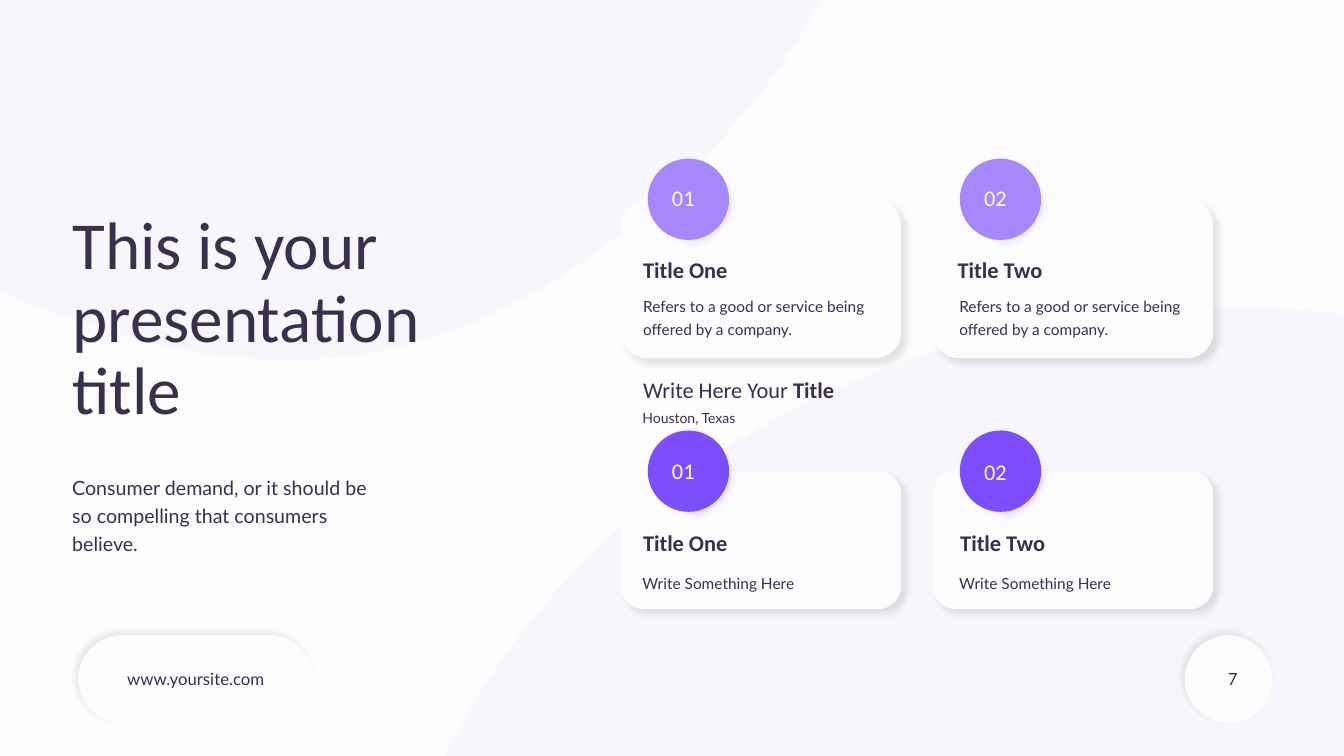
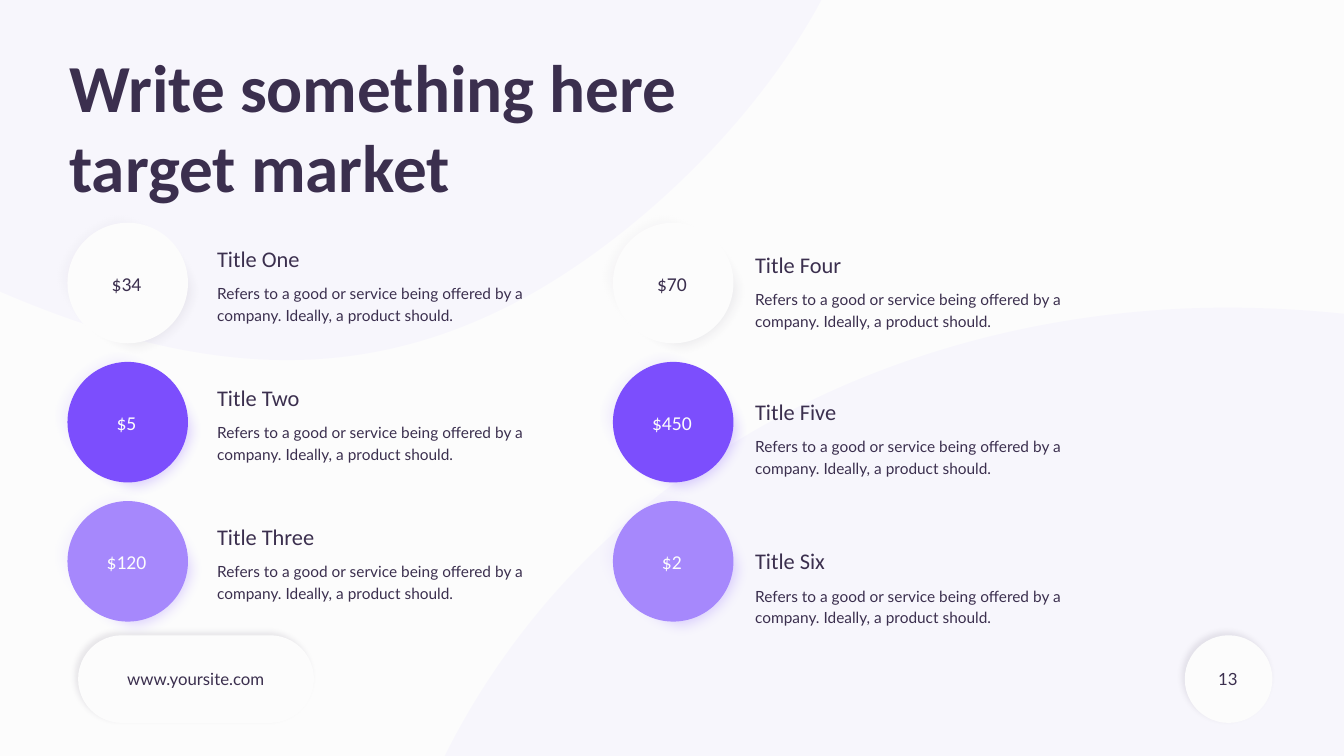
from lxml.etree import SubElement
from pptx import Presentation
from pptx.dml.color import RGBColor
from pptx.enum.shapes import MSO_SHAPE
from pptx.enum.text import MSO_ANCHOR, PP_ALIGN
from pptx.oxml.ns import qn
from pptx.util import Pt

PAPER = RGBColor(0xFC, 0xFC, 0xFC)
INK = RGBColor(0x3B, 0x2F, 0x4E)
BLACK = RGBColor(0, 0, 0)
VIOLET = RGBColor(0x7C, 0x4E, 0xFD)
LILAC = RGBColor(0xA6, 0x88, 0xFC)
HEADING, BODY = "Calibri", "Lato"
TIGHT, NARROW = (0, 0), (6.5, 3)

# Background blobs: area, start point, then Bezier segments, in points
BLOBS = [
    ((-495, -356.4, 1115.3, 613.4), (613.8, -159.8), [
        ((652.7, -43.2), (516.6, 132.5), (379.1, 210.2)),
        ((240.9, 287.3), (101.9, 267.8), (-88.9, 164.9)),
        ((-280.4, 63.4), (-523, -122.4), (-491.4, -230.4)),
        ((-461.1, -338.4), (-155.1, -367.2), (104.1, -352.8)),
        ((363.3, -337), (575.7, -277.2), (613.8, -159.8))]),
    ((253.1, 219.6, 1183, 1059.1), (1426, 501.8), [
        ((1481.4, 680.4), (1316.6, 921.6), (1091.2, 1087.2)),
        ((865.8, 1252.8), (580.7, 1340.6), (415.8, 1229)),
        ((252.4, 1117.4), (210.6, 806.4), (297.8, 584.6)),
        ((384.9, 362.9), (602.3, 230.4), (848.6, 220.3)),
        ((1094.8, 211), (1371.3, 324.7), (1426, 501.8))]),
]


def style_shape(shape, color, alpha=100, soft_edge=0, shadow=None):
    """Flat fill without line; shadow is (color, alpha, blur, distance, angle)."""
    shape.shadow.inherit = False
    shape.fill.solid()
    shape.fill.fore_color.rgb = color
    shape.line.fill.background()
    properties = shape._element.spPr
    if alpha < 100:
        fill_color = properties.find(qn("a:solidFill"))[0]
        SubElement(fill_color, qn("a:alpha"), val=str(alpha * 1000))
    effects = properties.find(qn("a:effectLst"))
    if shadow:
        tint, opacity, blur, distance, angle = shadow
        outer = SubElement(effects, qn("a:outerShdw"), blurRad=str(Pt(blur)), dist=str(Pt(distance)),
                           dir=str(angle * 60000), algn="ctr", rotWithShape="0")
        tint_node = SubElement(outer, qn("a:srgbClr"), val=str(tint))
        SubElement(tint_node, qn("a:alpha"), val=str(opacity * 1000))
    if soft_edge:
        SubElement(effects, qn("a:softEdge"), rad=str(Pt(soft_edge)))


def add_text(page, area, text, size, font=HEADING, color=INK, bold=False, align=PP_ALIGN.LEFT,
             inset=(7.2, 3.6), spacing=None, wrap=True, anchor=MSO_ANCHOR.TOP):
    box = page.shapes.add_textbox(*[Pt(value) for value in area])
    frame = box.text_frame
    frame.word_wrap = wrap
    frame.vertical_anchor = anchor
    frame.margin_left = frame.margin_right = Pt(inset[0])
    frame.margin_top = frame.margin_bottom = Pt(inset[1])
    frame.text = text
    for para in frame.paragraphs:
        para.alignment = align
        if spacing:
            para.line_spacing = spacing
        for span in para.runs:
            span.font.name, span.font.size = font, Pt(size)
            span.font.color.rgb, span.font.bold = color, bold
    return frame


deck = Presentation()
deck.slide_width, deck.slide_height = Pt(960), Pt(540)

# Shared background, page number and site label
pages = []
for number in (7, 13):
    page = deck.slides.add_slide(deck.slide_layouts[6])
    pages.append(page)
    page.background.fill.solid()
    page.background.fill.fore_color.rgb = PAPER
    for (left, top, width, height), start, segments in BLOBS:
        builder = page.shapes.build_freeform(Pt(start[0]), Pt(start[1]))
        builder.add_line_segments([(Pt(x), Pt(y)) for *handles, (x, y) in segments])
        blob = builder.convert_to_shape()
        blob.left, blob.top, blob.width, blob.height = Pt(left), Pt(top), Pt(width), Pt(height)
        # Turn the straight segments into curves
        outline = next(blob._element.iter(qn("a:path")))
        outline.set("w", str(Pt(width)))
        outline.set("h", str(Pt(height)))
        for command in list(outline):
            outline.remove(command)
        commands = [("a:moveTo", [start])] + [("a:cubicBezTo", segment) for segment in segments]
        for tag, points in commands:
            command = SubElement(outline, qn(tag))
            for x, y in points:
                SubElement(command, qn("a:pt"), x=str(Pt(x - left)), y=str(Pt(y - top)))
        SubElement(outline, qn("a:close"))
        style_shape(blob, VIOLET, alpha=3)
    for kind, left, width in ((MSO_SHAPE.OVAL, 846.3, 62.6), (MSO_SHAPE.ROUNDED_RECTANGLE, 55.8, 168.5)):
        badge = page.shapes.add_shape(kind, Pt(left), Pt(453.8), Pt(width), Pt(62.6))
        if kind == MSO_SHAPE.ROUNDED_RECTANGLE:
            badge.adjustments[0] = 0.5
        style_shape(badge, PAPER, shadow=(INK, 10, 4, 3, 225))
    add_text(page, (675.1, 470.5, 216, 28.8), str(number), 12, BODY, align=PP_ALIGN.RIGHT,
             anchor=MSO_ANCHOR.MIDDLE)
    add_text(page, (82.6, 473.8, 114.5, 21.6), "www.yoursite.com", 12, BODY, align=PP_ALIGN.CENTER, wrap=False)
cards_page, prices_page = pages

# Slide 1: title and introduction
add_text(cards_page, (51.8, 151.2, 328.3, 149.8), "This is your presentation\ntitle", 48, inset=TIGHT, spacing=0.9)
add_text(cards_page, (51.6, 336.5, 311.8, 59), "Consumer demand, or it should be\vso compelling that consumers\vbelieve.",
         14, BODY, inset=TIGHT, spacing=1.2)

# Slide 1: two rows of numbered cards
OFFER = "Refers to a good or service being offered by a company."
PROMPT = "Write Something Here"
cards = [  # left, top, height, color, number, number top, title, title area, title inset, body, body area
    (443.5, 142.3, 113.6, LILAC, "01", 128.2, "Title One", (459.4, 183.2, 148.3, 19.4), TIGHT,
     OFFER, (452.9, 206.3, 181.4, 36.7)),
    (666.4, 142.3, 113.6, LILAC, "02", 128.2, "Title Two", (684, 183.2, 153.4, 19.4), TIGHT,
     OFFER, (678.7, 206.3, 183.6, 36.7)),
    (443.5, 336.5, 98.6, VIOLET, "01", 323, "Title One", (452.2, 374.4, 107.3, 26.6), (7.2, 3.6),
     PROMPT, (452.4, 403.9, 146.9, 20.9)),
    (666.4, 336.5, 98.6, VIOLET, "02", 324, "Title Two", (678.8, 374.4, 107.3, 26.6), (7.2, 3.6),
     PROMPT, (678.7, 403.9, 146.9, 20.9)),
]
for left, top, height, color, number, number_top, title, title_area, title_inset, body, body_area in cards:
    card = cards_page.shapes.add_shape(MSO_SHAPE.ROUNDED_RECTANGLE, Pt(left), Pt(top), Pt(200.2), Pt(height))
    style_shape(card, PAPER, shadow=(BLACK, 10, 5, 5, 45))
    for size, alpha, soft_edge in ((67, 40, 8), (58.1, 100, 0)):
        disc = cards_page.shapes.add_shape(MSO_SHAPE.OVAL, Pt(left + 19.2), Pt(top - 29), Pt(size), Pt(size))
        style_shape(disc, color, alpha, soft_edge)
    add_text(cards_page, (left + 29.4, number_top, 35, 26.6), number, 16, color=PAPER)
    add_text(cards_page, title_area, title, 16, bold=True, inset=title_inset)
    add_text(cards_page, body_area, body, 11, BODY, inset=NARROW, spacing=Pt(16.1))

# Slide 1: heading between the rows
heading = add_text(cards_page, (452.4, 265, 199.4, 26.6), "Write Here Your ", 16)
span = heading.paragraphs[0].add_run()
span.text = "Title"
span.font.name, span.font.size, span.font.bold = HEADING, Pt(16), True
span.font.color.rgb = INK
add_text(cards_page, (452.4, 285.1, 107.3, 20.9), "Houston, Texas", 10, BODY, inset=NARROW, spacing=Pt(16.1))

# Slide 2: title
add_text(prices_page, (49.5, 32.1, 646.6, 116.6), "Write something here\vtarget market", 48, bold=True, inset=TIGHT)

# Slide 2: price discs with descriptions, in two columns
DESCRIPTION = "Refers to a good or service being offered by a company. Ideally, a product should."
ROW_STYLES = [  # disc color, halo color, halo strengths, price color
    (PAPER, INK, (10, 4), INK),
    (VIOLET, VIOLET, (30, 10), PAPER),
    (LILAC, LILAC, (40, 10), PAPER),
]
columns = [  # disc left, text left, title tops, items
    (48.2, 148, (171.4, 270.7, 370.1), [("$34", "Title One"), ("$5", "Title Two"), ("$120", "Title Three")]),
    (437.8, 532.3, (175.7, 280.6, 387.4), [("$70", "Title Four"), ("$450", "Title Five"), ("$2", "Title Six")]),
]
for disc_left, text_left, title_tops, items in columns:
    for row, (price, title) in enumerate(items):
        disc_color, halo_color, strengths, price_color = ROW_STYLES[row]
        disc_top = 159.1 + row * 99.4
        layers = [  # horizontal shift, vertical shift, size, color, alpha, soft edge
            (-0.7, -0.7, 99.4, halo_color, strengths[0], 10),
            (-14.4, -12.2, 102.2, halo_color, strengths[1], 10),
            (0, 0, 86.1, disc_color, 100, 0),
        ]
        for shift_x, shift_y, size, color, alpha, soft_edge in layers:
            disc = prices_page.shapes.add_shape(MSO_SHAPE.OVAL, Pt(disc_left + shift_x), Pt(disc_top + shift_y),
                                                Pt(size), Pt(size))
            style_shape(disc, color, alpha, soft_edge)
        add_text(prices_page, (disc_left + 17, disc_top + 31.7, 50.4, 24.5), price, 14, color=price_color,
                 align=PP_ALIGN.CENTER, wrap=False)
        add_text(prices_page, (text_left, title_tops[row], 145.4, 26.6), title, 16)
        add_text(prices_page, (text_left, title_tops[row] + 26.1, 265.7, 36), DESCRIPTION, 11, BODY,
                 spacing=Pt(15.3))

deck.save("out.pptx")
